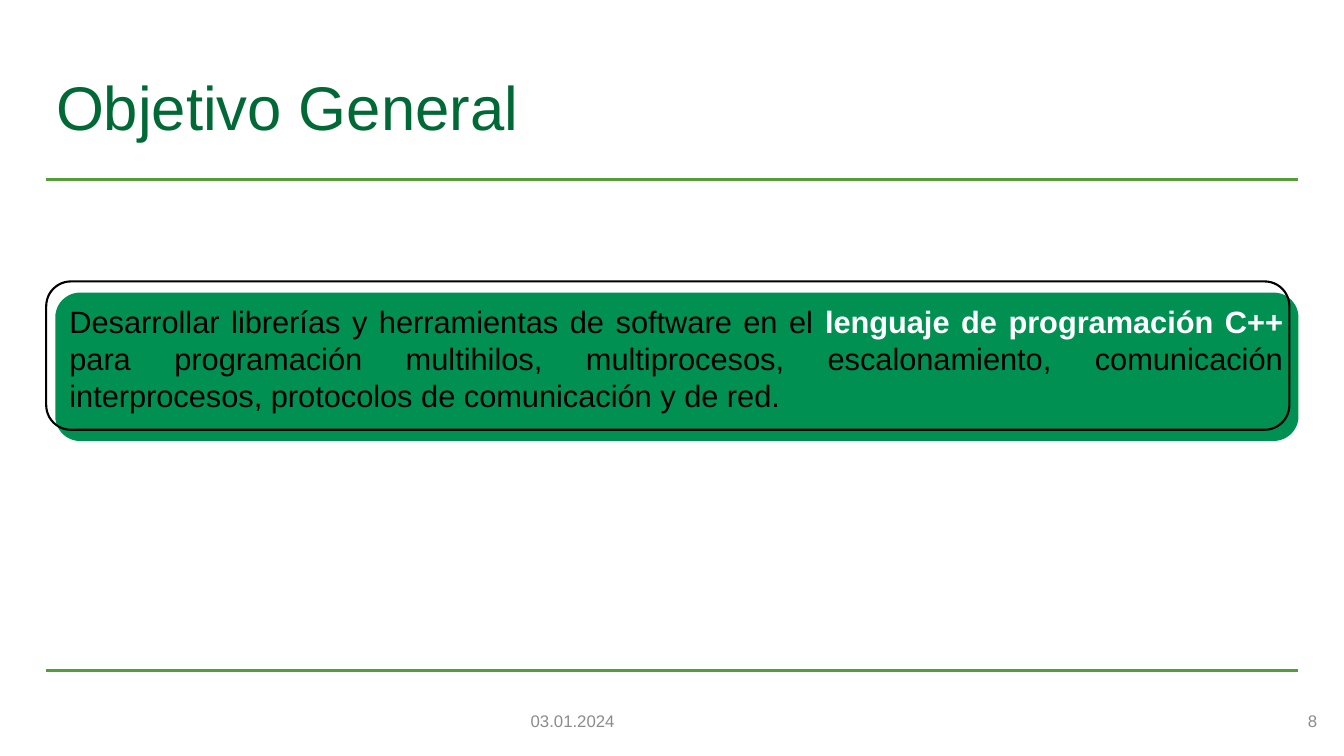
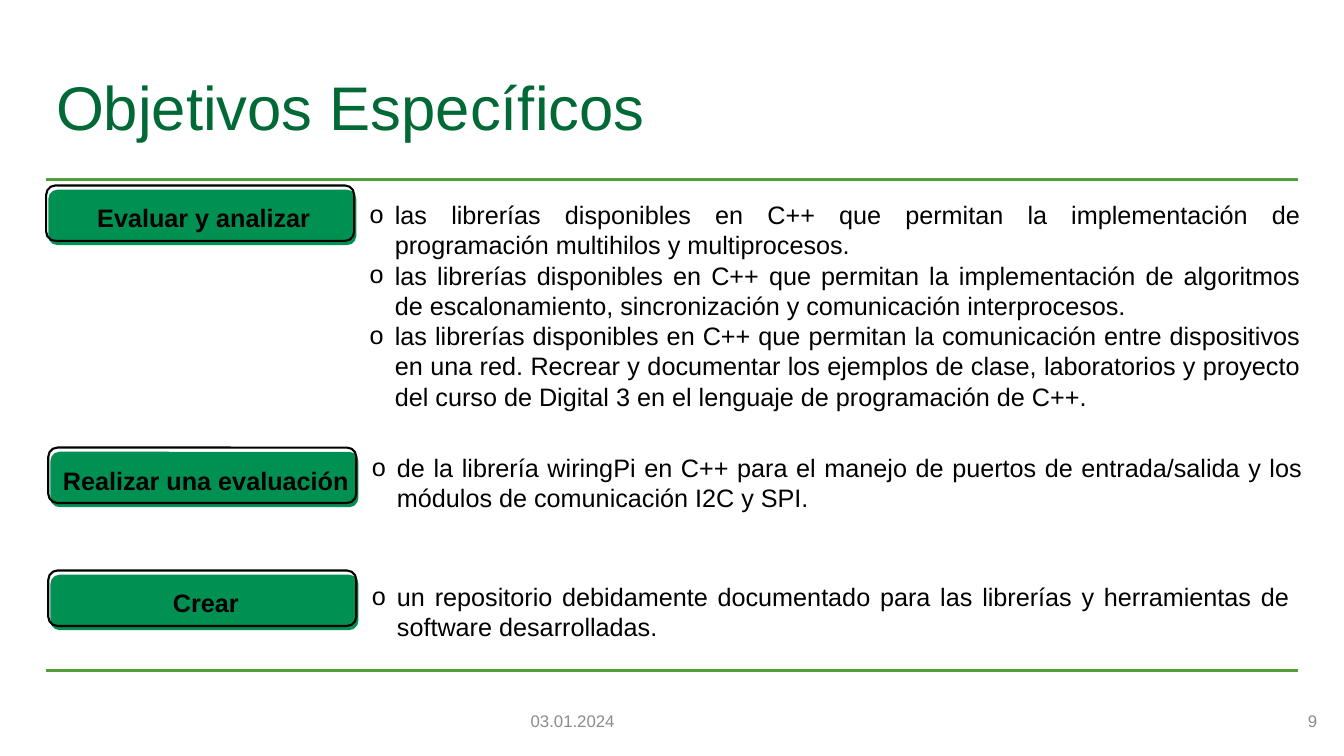
from lxml import etree
from pptx import Presentation
from pptx import util as u
from pptx.dml.color import RGBColor
from pptx.enum import shapes, text
from pptx.oxml.ns import qn

COLORS = {
    "title": "006936",
    "rule": "549E39",
    "panel": "009051",
    "ink": "000000",
    "accent": "FFFFFF",
    "footer": "8C8C8C",
}
FONT = "Arial"
DATE = "03.01.2024"
LEFT, RIGHT = 33, 927
RULE_TOPS = (128.2, 478.8)
ALIGN = text.PP_ALIGN
MIDDLE = text.MSO_ANCHOR.MIDDLE

GENERAL_GOAL = [
    ("Desarrollar librerías y herramientas de software en el ", "ink", False),
    ("lenguaje de programación C++", "accent", True),
    (" para programación multihilos, multiprocesos, escalonamiento, comunicación "
     "interprocesos, protocolos de comunicación y de red.", "ink", False),
]

SPECIFIC_GOALS = [
    ("Evaluar y analizar", (33, 132.5), (257, 139, 679, 197), [
        "las librerías disponibles en C++ que permitan la implementación de "
        "programación multihilos y multiprocesos.",
        "las librerías disponibles en C++ que permitan la implementación de algoritmos "
        "de escalonamiento, sincronización y comunicación interprocesos.",
        "las librerías disponibles en C++ que permitan la comunicación entre dispositivos "
        "en una red. Recrear y documentar los ejemplos de clase, laboratorios y proyecto "
        "del curso de Digital 3 en el lenguaje de programación de C++.",
    ]),
    ("Realizar una evaluación", (34.5, 319.7), (258.5, 319.7, 679, 63), [
        "de la librería wiringPi en C++ para el manejo de puertos de entrada/salida y los "
        "módulos de comunicación I2C y SPI.",
    ]),
    ("Crear", (34.5, 407.5), (258.5, 411.8, 669.6, 51), [
        "un repositorio debidamente documentado para las librerías y herramientas de "
        "software desarrolladas.",
    ]),
]


def points(*lengths):
    return [u.Pt(length) for length in lengths]


def color(name):
    return RGBColor.from_string(COLORS[name])


def add_rule(slide, top):
    rule = slide.shapes.add_connector(
        shapes.MSO_CONNECTOR.STRAIGHT, *points(LEFT, top, RIGHT, top))
    rule.line.color.rgb = color("rule")
    rule.line.width = u.Pt(2)
    etree.SubElement(rule._element.spPr, qn("a:effectLst"))


def add_text(slide, box, lines, size, ink="ink", align=ALIGN.LEFT, anchor=text.MSO_ANCHOR.TOP,
             bold=False, spacing=None):
    frame = slide.shapes.add_textbox(*points(*box)).text_frame
    frame.word_wrap = True
    frame.vertical_anchor = anchor
    frame.text = "\n".join(lines)
    for paragraph in frame.paragraphs:
        paragraph.alignment = align
        paragraph.line_spacing = spacing
        paragraph.font.name = FONT
        paragraph.font.size = u.Pt(size)
        paragraph.font.bold = bold
        paragraph.font.color.rgb = color(ink)
    return frame


def add_bullets(slide, box, items):
    for paragraph in add_text(slide, box, items, 18, align=ALIGN.JUSTIFY).paragraphs:
        properties = paragraph._p.get_or_add_pPr()
        properties.set("marL", str(u.Pt(18)))
        properties.set("indent", str(u.Pt(-18)))
        bullet_font = etree.Element(qn("a:buFont"), typeface=FONT)
        bullet = etree.Element(qn("a:buChar"), char="o")
        properties.find(qn("a:defRPr")).addprevious(bullet_font)
        bullet_font.addnext(bullet)


def add_panel(slide, left, top, width, height, offset):
    def rounded(shift):
        shape = slide.shapes.add_shape(
            shapes.MSO_SHAPE.ROUNDED_RECTANGLE,
            *points(left + shift[0], top + shift[1], width, height))
        shape.shadow.inherit = False
        return shape

    backing = rounded(offset)
    backing.fill.solid()
    backing.fill.fore_color.rgb = color("panel")
    backing.line.fill.background()

    outline = rounded((0, 0))
    outline.fill.background()
    outline.line.color.rgb = color("ink")
    outline.line.width = u.Pt(1.5)


def add_goal(slide, label, corner, bullet_box, items):
    left, top = corner
    add_panel(slide, left, top, 220, 39.6, (1.5, 3))
    caption = add_text(slide, (left + 1.5, top + 4.5, 222, 30), [label], 18,
                       align=ALIGN.CENTER, bold=True, spacing=1.2)
    caption.paragraphs[0].space_before = u.Pt(10)
    add_bullets(slide, bullet_box, items)


def add_page(deck, title, number):
    slide = deck.slides.add_slide(deck.slide_layouts[6])
    for top in RULE_TOPS:
        add_rule(slide, top)
    add_text(slide, (LEFT, 29.5, RIGHT - LEFT, 98.7), [title], 44, "title",
             anchor=MIDDLE, spacing=0.9)
    add_text(slide, (372, 500.5, 216, 28.8), [DATE], 12, "footer", anchor=MIDDLE)
    add_text(slide, (732, 500.5, 216, 28.8), [str(number)], 12, "footer", ALIGN.RIGHT, MIDDLE)
    return slide


def add_general_goal(slide):
    add_panel(slide, LEFT, 201, 888, 106, (6.5, 8))
    frame = add_text(slide, (42.5, 212.4, 881.3, 87), [""], 22, align=ALIGN.JUSTIFY)
    for words, ink, bold in GENERAL_GOAL:
        run = frame.paragraphs[0].add_run()
        run.text = words
        run.font.color.rgb = color(ink)
        run.font.bold = bold


def main():
    deck = Presentation()
    deck.slide_width, deck.slide_height = points(960, 540)
    add_general_goal(add_page(deck, "Objetivo General", 8))
    specific = add_page(deck, "Objetivos Específicos", 9)
    for goal in SPECIFIC_GOALS:
        add_goal(specific, *goal)
    deck.save("out.pptx")


if __name__ == "__main__":
    main()
